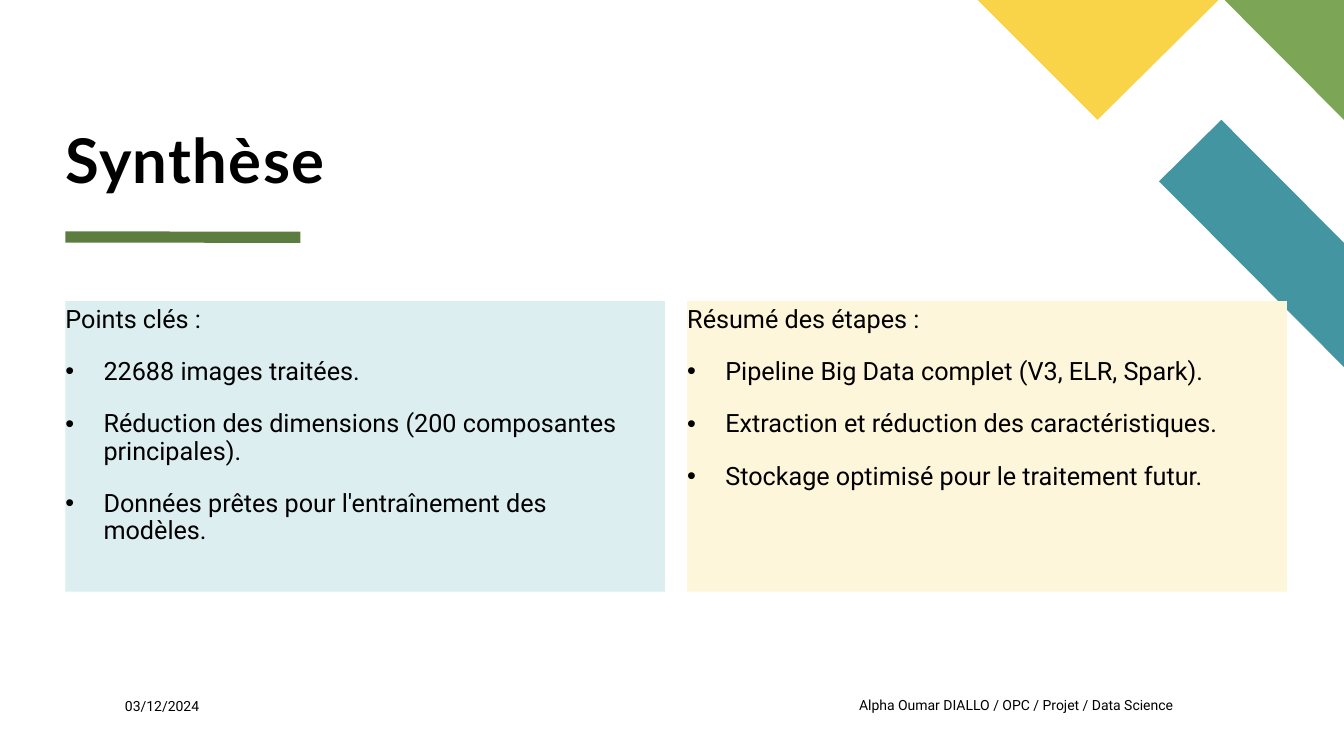
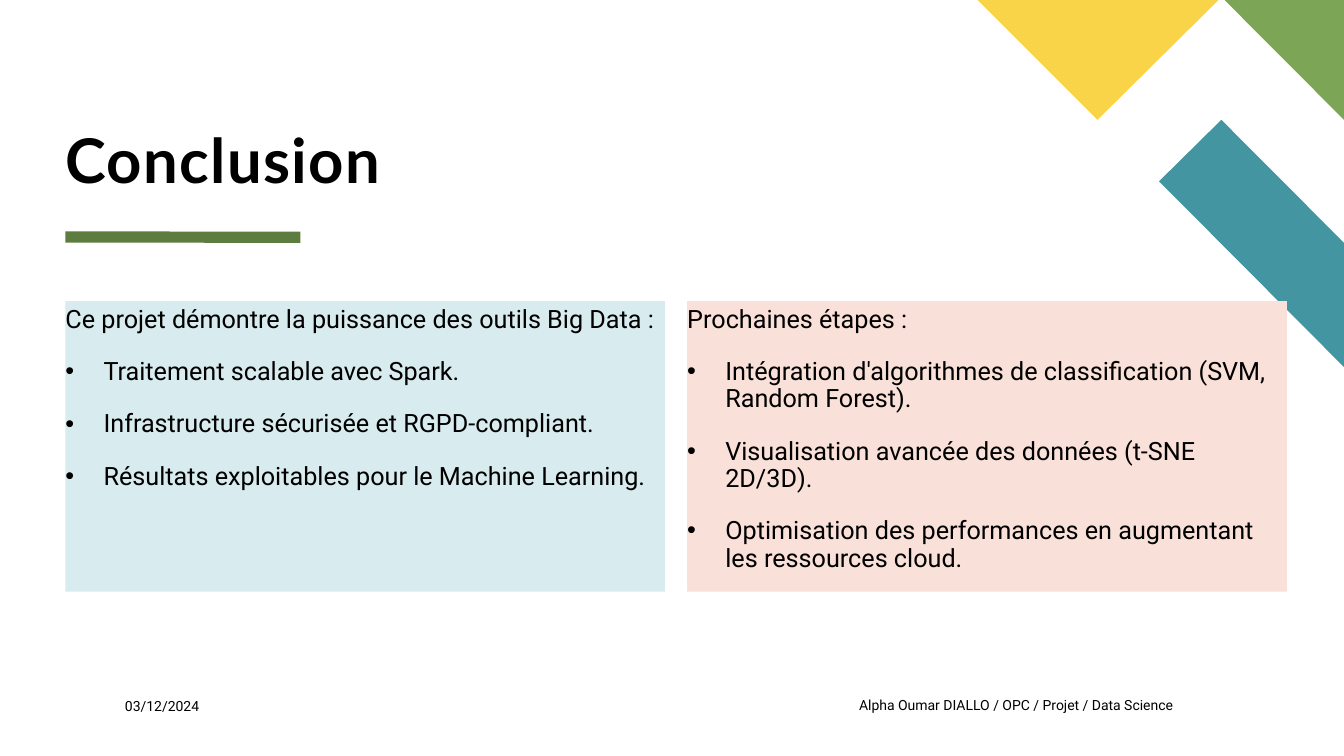
from lxml.etree import SubElement
from pptx import Presentation
from pptx.dml.color import RGBColor
from pptx.enum.shapes import MSO_CONNECTOR, MSO_SHAPE
from pptx.enum.text import MSO_ANCHOR, PP_ALIGN
from pptx.oxml.ns import qn
from pptx.util import Cm, Pt

# Shared style
TITLE_FONT, BODY_FONT = "Lato", "Roboto"
BLACK, RULE_GREEN = "000000", "5D7D40"
MARGIN, PANEL_WIDTH, PANEL_GAP = 1.65, 15.11, 0.56
PANEL_INSETS = (0, 0.13, 0.25, 0.13)
BULLET_INDENT = 0.96
DATE = "03/12/2024"
FOOTER = "Alpha Oumar DIALLO / OPC / Projet / Data Science"

# Corner decoration: fill colour and outline in centimetres
CORNER = [
    ("4495A2", [(33.87, 9.25), (33.87, 6.12), (30.78, 3.02), (29.21, 4.57)]),
    ("7CA655", [(33.87, 3.02), (33.87, 0), (30.86, 0)]),
    ("F9D448", [(24.64, 0), (27.66, 3.02), (30.71, 0)]),
]

# Title, then one (fill, heading, bullets) entry per panel
PAGES = [
    ("Synthèse", [
        ("DDEEF1", "Points clés :", [
            "22688 images traitées.",
            "Réduction des dimensions (200 composantes principales).",
            "Données prêtes pour l'entraînement des modèles.",
        ]),
        ("FEF6DA", "Résumé des étapes :", [
            "Pipeline Big Data complet (V3, ELR, Spark).",
            "Extraction et réduction des caractéristiques.",
            "Stockage optimisé pour le traitement futur.",
        ]),
    ]),
    ("Conclusion", [
        ("D8EBEE", "Ce projet démontre la puissance des outils Big Data :", [
            "Traitement scalable avec Spark.",
            "Infrastructure sécurisée et RGPD-compliant.",
            "Résultats exploitables pour le Machine Learning.",
        ]),
        ("F9E1D9", "Prochaines étapes :", [
            "Intégration d'algorithmes de classification (SVM, Random Forest).",
            "Visualisation avancée des données (t-SNE 2D/3D).",
            "Optimisation des performances en augmentant les ressources cloud.",
        ]),
    ]),
]


def colour(value):
    return RGBColor.from_string(value)


def paint(shape, fill):
    shape.shadow.inherit = False
    shape.fill.solid()
    shape.fill.fore_color.rgb = colour(fill)
    shape.line.fill.background()


def set_frame(box, insets, anchor=MSO_ANCHOR.TOP):
    frame = box.text_frame
    frame.word_wrap = True
    frame.vertical_anchor = anchor
    (frame.margin_left, frame.margin_top,
     frame.margin_right, frame.margin_bottom) = [Cm(inset) for inset in insets]
    return frame


def add_span(para, text, size, font=BODY_FONT, bold=False):
    span = para.add_run()
    span.text = text
    span.font.name = font
    span.font.size = Pt(size)
    span.font.bold = bold
    span.font.color.rgb = colour(BLACK)
    return span


def add_text(page, text, area, size, insets=(0, 0, 0, 0), align=PP_ALIGN.LEFT):
    box = page.shapes.add_textbox(*[Cm(length) for length in area])
    para = set_frame(box, insets).paragraphs[0]
    para.alignment = align
    add_span(para, text, size)


def add_title(page, text):
    box = page.shapes.add_textbox(Cm(MARGIN), Cm(0.56), Cm(24.82), Cm(4.37))
    para = set_frame(box, (0, 0, 0, 0), MSO_ANCHOR.BOTTOM).paragraphs[0]
    para.line_spacing = 0.8
    span = add_span(para, text, 44, TITLE_FONT, bold=True)
    span.font._element.set("spc", "100")  # letter spacing of 1 pt


def add_bullet(para):
    properties = para._p.get_or_add_pPr()
    properties.set("marL", str(Cm(BULLET_INDENT)))
    properties.set("indent", str(-Cm(BULLET_INDENT)))
    SubElement(properties, qn("a:buFont")).set("typeface", "Arial")
    SubElement(properties, qn("a:buChar")).set("char", "•")


def add_panel(page, column, fill, heading, bullets):
    left = MARGIN + column * (PANEL_WIDTH + PANEL_GAP)
    box = page.shapes.add_shape(MSO_SHAPE.RECTANGLE, Cm(left), Cm(7.59),
                                Cm(PANEL_WIDTH), Cm(7.32))
    paint(box, fill)
    frame = set_frame(box, PANEL_INSETS)
    for index, text in enumerate([heading, *bullets]):
        para = frame.add_paragraph() if index else frame.paragraphs[0]
        para.alignment = PP_ALIGN.LEFT
        para.line_spacing = 0.9
        para.space_before = Pt(18)
        if index:
            add_bullet(para)
        add_span(para, text, 18)


def add_corner(page):
    for fill, points in CORNER:
        start, *others = [(Cm(x), Cm(y)) for x, y in points]
        outline = page.shapes.build_freeform(*start)
        outline.add_line_segments(others, close=True)
        paint(outline.convert_to_shape(), fill)


def add_title_rule(page):
    rule = page.shapes.add_connector(MSO_CONNECTOR.STRAIGHT, Cm(MARGIN),
                                     Cm(5.97), Cm(7.57), Cm(5.98))
    rule.line.color.rgb = colour(RULE_GREEN)
    rule.line.width = Pt(8)
    SubElement(rule._element.spPr, qn("a:effectLst"))


def add_footer(page):
    add_text(page, DATE, (3.15, 17.58, 3.66, 0.69), 10)
    add_text(page, FOOTER, (19.89, 17.42, 11.43, 1.02), 10,
             (0.25, 0.13, 0.25, 0.13), PP_ALIGN.CENTER)


def main():
    deck = Presentation()
    deck.slide_width, deck.slide_height = Cm(33.87), Cm(19.05)
    for title, panels in PAGES:
        page = deck.slides.add_slide(deck.slide_layouts[6])
        add_corner(page)
        add_title_rule(page)
        add_title(page, title)
        for column, panel in enumerate(panels):
            add_panel(page, column, *panel)
        add_footer(page)
    deck.save("out.pptx")


if __name__ == "__main__":
    main()
